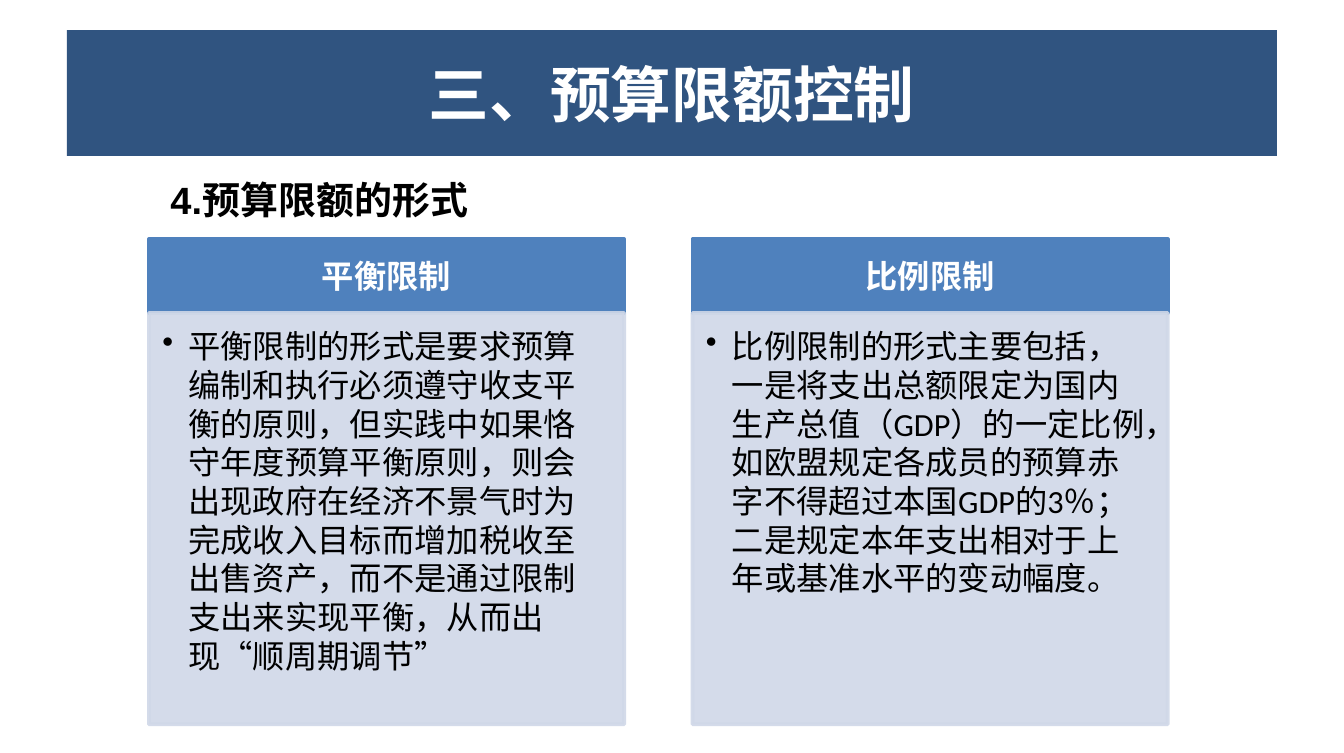
from lxml import etree
from pptx import Presentation
from pptx.dml.color import RGBColor
from pptx.enum.shapes import MSO_SHAPE
from pptx.enum.text import MSO_ANCHOR, PP_ALIGN
from pptx.oxml.ns import qn
from pptx.util import Inches, Pt

RECT = MSO_SHAPE.RECTANGLE
MIDDLE, TOP = MSO_ANCHOR.MIDDLE, MSO_ANCHOR.TOP
LEFT, CENTER = PP_ALIGN.LEFT, PP_ALIGN.CENTER

TITLE = "三、预算限额控制"
HEADING = "4.预算限额的形式"
CARDS = [
    ("平衡限制", "平衡限制的形式是要求预算编制和执行必须遵守收支平衡的原则，但实践中如果恪守年度预算平衡原则，则会出现政府在经济不景气时为完成收入目标而增加税收至出售资产，而不是通过限制支出来实现平衡，从而出现“顺周期调节”"),
    ("比例限制", "比例限制的形式主要包括，一是将支出总额限定为国内生产总值（GDP）的一定比例，如欧盟规定各成员的预算赤字不得超过本国GDP的3％；二是规定本年支出相对于上年或基准水平的变动幅度。"),
]
NAVY, BLUE, PALE = "305480", "4F81BD", "D0D8E8"
WHITE, BLACK = "FFFFFF", "000000"
X, Y, WIDTH, STEP = 1.09, 1.75, 3.48, 3.98
HEAD, BODY = 0.54, 3.01


def color(value):
    return RGBColor.from_string(value)


def add_box(x, y, w, h, fill, edge=True, alpha=None):
    box = slide.shapes.add_shape(RECT, *map(Inches, (x, y, w, h)))
    box.shadow.inherit = False
    box.fill.solid()
    box.fill.fore_color.rgb = color(fill)
    if edge:
        box.line.color.rgb = color(fill)
        box.line.width = Pt(2)
    else:
        box.line.fill.background()
    if alpha:
        for tone in box._element.spPr.iter(qn("a:srgbClr")):
            etree.SubElement(tone, qn("a:alpha")).set("val", str(alpha * 1000))
    return box


def add_text(box, text, size, font, ink, pads, bold=False, align=CENTER,
             anchor=MIDDLE, margin=0, indent=0, bullet=False):
    frame = box.text_frame
    frame.word_wrap = True
    frame.vertical_anchor = anchor
    (frame.margin_left, frame.margin_top,
     frame.margin_right, frame.margin_bottom) = map(Inches, pads)
    para = frame.paragraphs[0]
    para.text = text
    para.alignment = align
    props = para._p.get_or_add_pPr()
    props.set("marL", str(Inches(margin)))
    props.set("indent", str(Inches(indent)))
    if bullet:
        para.line_spacing = Pt(20.4)
        etree.SubElement(props, qn("a:buChar")).set("char", "•")
    para.font.size = Pt(size)
    para.font.name = font
    para.font.bold = bold
    para.font.color.rgb = color(ink)


deck = Presentation()
deck.slide_width, deck.slide_height = Inches(9.84), Inches(5.51)
slide = deck.slides.add_slide(deck.slide_layouts[6])

for i, (name, note) in enumerate(CARDS):
    x = X + i * STEP
    head = add_box(x, Y, WIDTH, HEAD, BLUE)
    add_text(head, name, 17, "Calibri", WHITE, (0.13, 0.08, 0.13, 0.08), bold=True)
    body = add_box(x, Y + HEAD, WIDTH, BODY, PALE, alpha=90)
    add_text(body, note, 17, "Calibri", BLACK, (0.1, 0.1, 0.13, 0.15),
             align=LEFT, anchor=TOP, margin=0.19, indent=-0.19, bullet=True)

banner = add_box(0.49, 0.22, 8.86, 0.92, NAVY, edge=False)
add_text(banner, TITLE, 32, "Noto Sans CJK SC", WHITE, (0.09, 0.04, 0.09, 0.04), bold=True)

label = slide.shapes.add_textbox(*map(Inches, (0.59, 1.24, 4.06, 0.44)))
add_text(label, HEADING, 20, "Arial", BLACK, (0.1, 0.05, 0.1, 0.05),
         bold=True, align=LEFT, anchor=TOP, indent=0.56)

deck.save("out.pptx")
